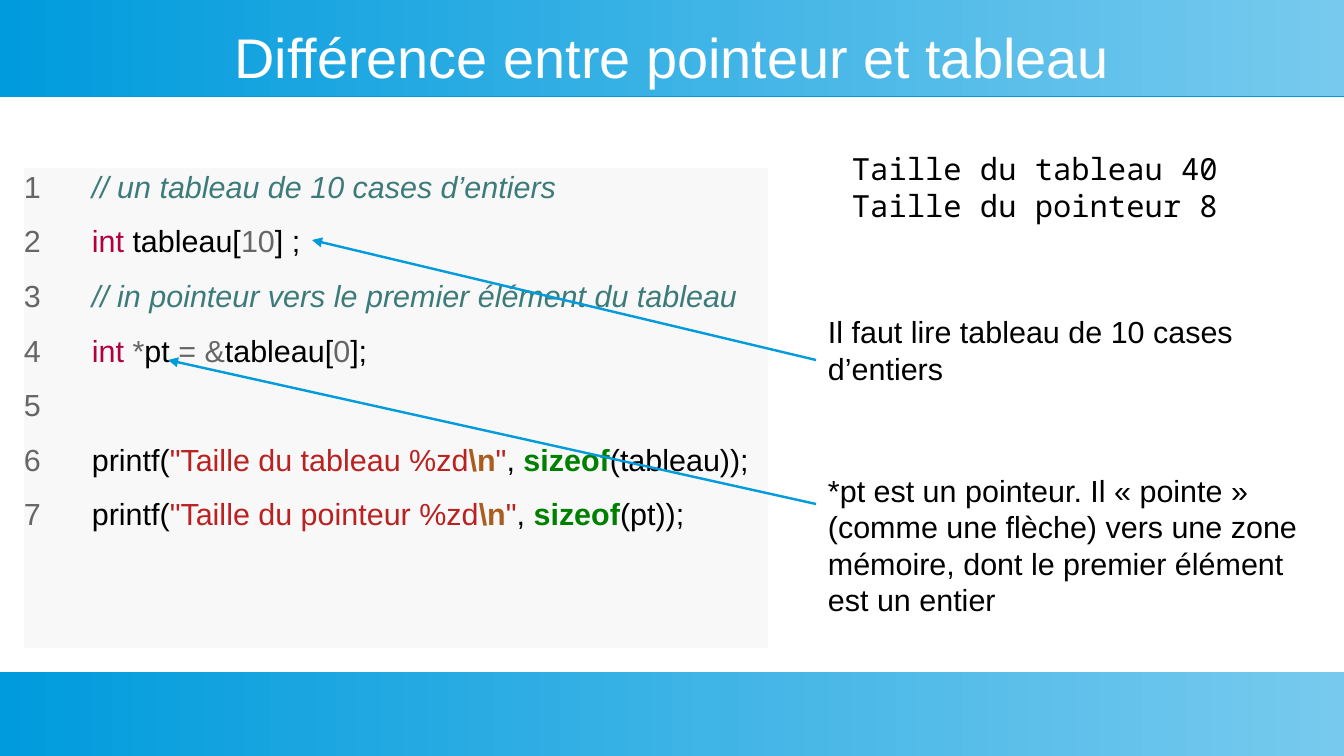
from dataclasses import dataclass

from lxml import etree
from pptx import Presentation
from pptx.dml.color import RGBColor
from pptx.enum.shapes import MSO_CONNECTOR, MSO_SHAPE
from pptx.enum.text import MSO_ANCHOR, MSO_AUTO_SIZE, PP_ALIGN
from pptx.oxml.ns import qn
from pptx.shapes.base import BaseShape
from pptx.slide import Slide
from pptx.text.text import TextFrame
from pptx.util import Cm, Length, Pt

RECTANGLE = MSO_SHAPE.RECTANGLE
STRAIGHT = MSO_CONNECTOR.STRAIGHT
MIDDLE, TOP = MSO_ANCHOR.MIDDLE, MSO_ANCHOR.TOP
CENTER, LEFT = PP_ALIGN.CENTER, PP_ALIGN.LEFT
GROW = MSO_AUTO_SIZE.SHAPE_TO_FIT_TEXT
FIXED = MSO_AUTO_SIZE.NONE

# The slide is a grid of square cells
CELL_CM = 0.5
COLUMNS, ROWS = 56, 31.5


@dataclass(frozen=True)
class Style:
    color: str
    bold: bool = False
    italic: bool = False


@dataclass(frozen=True)
class Theme:
    sans: str = "Arial"
    mono: str = "Noto Sans Mono"
    title_size: float = 33
    body_size: float = 18
    code_gap: float = 10.6
    arrow_width: float = 1.42
    shadow_offset: float = 0.9
    accent: str = "009BDD"
    accent_light: str = "77CAEE"
    white: str = "FFFFFF"
    black: str = "000000"
    panel: str = "F8F8F8"


THEME = Theme()
PLAIN = Style(THEME.black)
MUTED = Style("666666")
COMMENT = Style("3D7B7B", italic=True)
KEYWORD = Style("B00040")
STRING = Style("BA2121")
ESCAPE = Style("AA5D1F", bold=True)
OPERATOR = Style("008000", bold=True)


@dataclass(frozen=True)
class Area:
    column: float
    row: float
    columns: float
    rows: float

    def lengths(self) -> list[Length]:
        return [cells(n) for n in (self.column, self.row, self.columns, self.rows)]


@dataclass(frozen=True)
class Label:
    area: Area
    lines: tuple[str, ...]
    face: str = THEME.sans
    size: float = THEME.body_size
    color: str = THEME.black
    align: PP_ALIGN = LEFT
    anchor: MSO_ANCHOR = TOP
    inset: bool = True


@dataclass(frozen=True)
class Arrow:
    start: tuple[float, float]
    end: tuple[float, float]


Line = list[tuple[str, Style]]


def printf_line(noun: str, argument: str) -> Line:
    return [("printf(", PLAIN), (f'"Taille du {noun} %zd', STRING), ("\\n", ESCAPE),
            ('"', STRING), (", ", PLAIN), ("sizeof", OPERATOR), (f"({argument}));", PLAIN)]


# Content
BANDS = [Area(0, 0, COLUMNS, 4), Area(0, 28, COLUMNS, 3.5)]
TITLE = Label(Area(2, 1, 52, 2.64), ("Différence entre pointeur et tableau",),
              size=THEME.title_size, color=THEME.white, align=CENTER,
              anchor=MIDDLE, inset=False)
CODE_AREA = Area(1, 7, 31, 20)
CODE_INDENT = 2.83
CODE: list[Line] = [
    [("// un tableau de 10 cases d’entiers", COMMENT)],
    [("int ", KEYWORD), ("tableau[", PLAIN), ("10", MUTED), ("] ;", PLAIN)],
    [("// in pointeur vers le premier élément du tableau", COMMENT)],
    [("int ", KEYWORD), ("*", MUTED), ("pt ", PLAIN), ("= &", MUTED),
     ("tableau[", PLAIN), ("0", MUTED), ("];", PLAIN)],
    [],
    printf_line("tableau", "tableau"),
    printf_line("pointeur", "pt"),
]
LABELS = [
    Label(Area(35, 6, 18, 4), ("Taille du tableau 40", "Taille du pointeur 8"), face=THEME.mono),
    Label(Area(34, 12.8, 18, 4.15), ("Il faut lire tableau de 10 cases d’entiers",)),
    Label(Area(34, 19.4, 21, 7.6),
          ("*pt est un pointeur. Il « pointe » (comme une flèche) vers une zone "
           "mémoire, dont le premier élément est un entier",)),
]
ARROWS = [Arrow((34, 15), (13, 10)), Arrow((34, 21), (7, 15))]


def cells(count: float) -> Length:
    return Cm(count * CELL_CM)


def rgb(color: str) -> RGBColor:
    return RGBColor.from_string(color)


def set_frame(frame: TextFrame, inset: bool, anchor: MSO_ANCHOR, fit: MSO_AUTO_SIZE) -> None:
    frame.word_wrap = True
    frame.auto_size = fit
    frame.vertical_anchor = anchor
    if not inset:
        frame.margin_left = frame.margin_right = frame.margin_top = frame.margin_bottom = 0


def add_drop_edge(shape: BaseShape) -> None:
    shape.shadow.inherit = False
    effects = shape._element.spPr.find(qn("a:effectLst"))
    shadow = etree.SubElement(effects, qn("a:outerShdw"), blurRad="0",
                              dist=str(Pt(THEME.shadow_offset)), dir="5400000",
                              algn="ctr", rotWithShape="0")
    etree.SubElement(shadow, qn("a:srgbClr"), val=THEME.accent)


def draw_band(page: Slide, area: Area) -> None:
    band = page.shapes.add_shape(RECTANGLE, *area.lengths())
    band.line.fill.background()
    band.fill.gradient()
    band.fill.gradient_angle = 0
    for stop, color in zip(band.fill.gradient_stops, (THEME.accent, THEME.accent_light)):
        stop.color.rgb = rgb(color)
    add_drop_edge(band)


def draw_label(page: Slide, label: Label) -> None:
    frame = page.shapes.add_textbox(*label.area.lengths()).text_frame
    set_frame(frame, label.inset, label.anchor, GROW)
    frame.text = "\n".join(label.lines)
    for para in frame.paragraphs:
        para.alignment = label.align
        para.font.name = label.face
        para.font.size = Pt(label.size)
        para.font.color.rgb = rgb(label.color)


def draw_code(page: Slide) -> None:
    panel = page.shapes.add_shape(RECTANGLE, *CODE_AREA.lengths())
    panel.shadow.inherit = False
    panel.fill.solid()
    panel.fill.fore_color.rgb = rgb(THEME.panel)
    panel.line.fill.background()
    frame = panel.text_frame
    set_frame(frame, False, TOP, FIXED)
    for number, line in enumerate(CODE, start=1):
        para = frame.paragraphs[0] if number == 1 else frame.add_paragraph()
        para.alignment = LEFT
        para.space_before = Pt(THEME.code_gap)
        para.font.name = THEME.sans
        para.font.size = Pt(THEME.body_size)
        # Hanging indent: the number sits in the margin, the code after a tab
        properties = para._p.get_or_add_pPr()
        properties.set("marL", str(cells(CODE_INDENT)))
        properties.set("indent", str(-cells(CODE_INDENT)))
        prefix = f"{number}\t" if line else str(number)
        for text, style in [(prefix, MUTED), *line]:
            span = para.add_run()
            span.text = text
            span.font.color.rgb = rgb(style.color)
            span.font.bold = style.bold
            span.font.italic = style.italic


def draw_arrow(page: Slide, arrow: Arrow) -> None:
    ends = [cells(n) for n in (*arrow.start, *arrow.end)]
    connector = page.shapes.add_connector(STRAIGHT, *ends)
    connector.line.color.rgb = rgb(THEME.accent)
    connector.line.width = Pt(THEME.arrow_width)
    etree.SubElement(connector.line._get_or_add_ln(), qn("a:tailEnd"), type="triangle")
    etree.SubElement(connector._element.spPr, qn("a:effectLst"))


def main() -> None:
    deck = Presentation()
    deck.slide_width, deck.slide_height = cells(COLUMNS), cells(ROWS)
    page = deck.slides.add_slide(deck.slide_layouts[6])

    # Bands and title
    for area in BANDS:
        draw_band(page, area)
    draw_label(page, TITLE)

    # Code, arrows and remarks
    draw_code(page)
    for arrow in ARROWS:
        draw_arrow(page, arrow)
    for label in LABELS:
        draw_label(page, label)
    deck.save("out.pptx")


if __name__ == "__main__":
    main()
